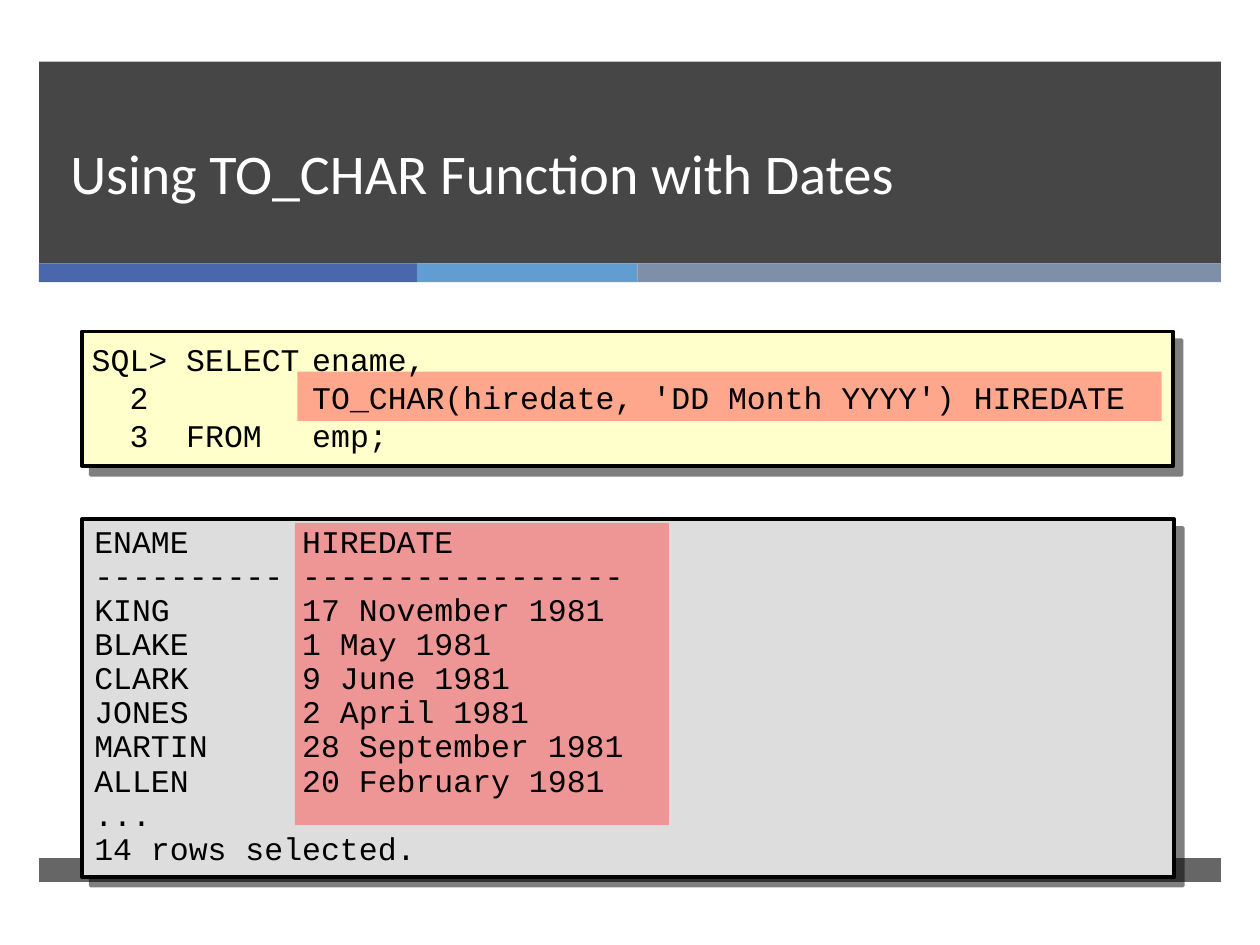
import pptx
import pptx.util
import pptx.dml.color
import pptx.enum.shapes
import pptx.enum.text
import pptx.oxml
import pptx.oxml.ns

PX = 9144
NS = pptx.oxml.ns.nsdecls("a")
TOP = pptx.enum.text.MSO_ANCHOR.TOP
MID = pptx.enum.text.MSO_ANCHOR.MIDDLE
LOW = pptx.enum.text.MSO_ANCHOR.BOTTOM


def tint(code):
    return pptx.dml.color.RGBColor.from_string(code)


class Deck:
    code = "Courier New"
    head = "Calibri"
    ink = "000000"

    def __init__(self, wide, high):
        self.show = pptx.Presentation()
        self.show.slide_width = wide * PX
        self.show.slide_height = high * PX
        self.slide = self.show.slides.add_slide(self.show.slide_layouts[6])

    def rect(self, x, y, wide, high, fill, alpha=100):
        kind = pptx.enum.shapes.MSO_SHAPE.RECTANGLE
        box = self.slide.shapes.add_shape(kind, x * PX, y * PX, wide * PX, high * PX)
        box.shadow.inherit = False
        box.fill.solid()
        box.fill.fore_color.rgb = tint(fill)
        box.line.fill.background()
        if alpha < 100:
            color = box._element.spPr.find(".//" + pptx.oxml.ns.qn("a:srgbClr"))
            color.append(pptx.oxml.parse_xml(f'<a:alpha {NS} val="{alpha * 1000}"/>'))
        return box

    def panel(self, x, y, wide, high, fill):
        box = self.rect(x, y, wide, high, fill)
        box.line.color.rgb = tint(self.ink)
        box.line.width = pptx.util.Pt(2)
        glow = box._element.spPr.find(pptx.oxml.ns.qn("a:effectLst"))
        dist = pptx.util.Pt(7.1)
        glow.append(pptx.oxml.parse_xml(
            f'<a:outerShdw {NS} dist="{dist}" dir="2700000" algn="ctr" rotWithShape="0">'
            f'<a:srgbClr val="{self.ink}"><a:alpha val="50000"/></a:srgbClr></a:outerShdw>'))

    def text(self, x, y, wide, high, lines, size=18, font=code, color=ink,
             anchor=TOP, space=None, tab=None):
        box = self.slide.shapes.add_textbox(x * PX, y * PX, wide * PX, high * PX)
        frame = box.text_frame
        frame.text = "\n".join(lines)
        frame.word_wrap = True
        frame.vertical_anchor = anchor
        for para in frame.paragraphs:
            if space:
                para.line_spacing = space
            if tab:
                para._p.get_or_add_pPr().append(pptx.oxml.parse_xml(
                    f'<a:tabLst {NS}><a:tab pos="{tab * PX}" algn="l"/></a:tabLst>'))
            for run in para.runs:
                run.font.size = pptx.util.Pt(size)
                run.font.name = font
                run.font.color.rgb = tint(color)

    def save(self):
        self.show.save("out.pptx")


def main():
    deck = Deck(1000, 750)

    left = 31
    deck.rect(left, 49, 938, 160, "262626", 85)
    x = left
    for wide, fill in ((300, "4A66AC"), (175, "629DD1"), (463, "7F8FA9")):
        deck.rect(x, 209, wide, 15, fill)
        x += wide
    deck.rect(left, 681, 938, 19, "262626", 70)
    deck.text(46, 49, 854, 119, ["Using TO_CHAR Function with Dates"], size=32,
              font=deck.head, color="FFFFFF", anchor=LOW, space=pptx.util.Pt(46))

    deck.panel(65, 263, 866, 107, "FFFFCC")
    deck.panel(65, 412, 867, 284, "DDDDDD")
    deck.rect(236, 295, 686, 39, "FF5050", 50)
    deck.rect(234, 415, 297, 240, "FF5050", 50)

    query = [
        "SQL> SELECT\tename,",
        "  2\tTO_CHAR(hiredate, 'DD Month YYYY') HIREDATE",
        "  3  FROM\temp;",
    ]
    deck.text(63, 241, 866, 148, query, anchor=MID, tab=175)

    rows = [
        ("ENAME", "HIREDATE"),
        ("-" * 10, "-" * 17),
        ("KING", "17 November 1981"),
        ("BLAKE", "1 May 1981"),
        ("CLARK", "9 June 1981"),
        ("JONES", "2 April 1981"),
        ("MARTIN", "28 September 1981"),
        ("ALLEN", "20 February 1981"),
    ]
    lines = [f"{name:<11}{date}" for name, date in rows]
    lines += ["...", "14 rows selected."]
    deck.text(65, 413, 794, 281, lines, space=0.9)

    deck.save()


if __name__ == "__main__":
    main()
